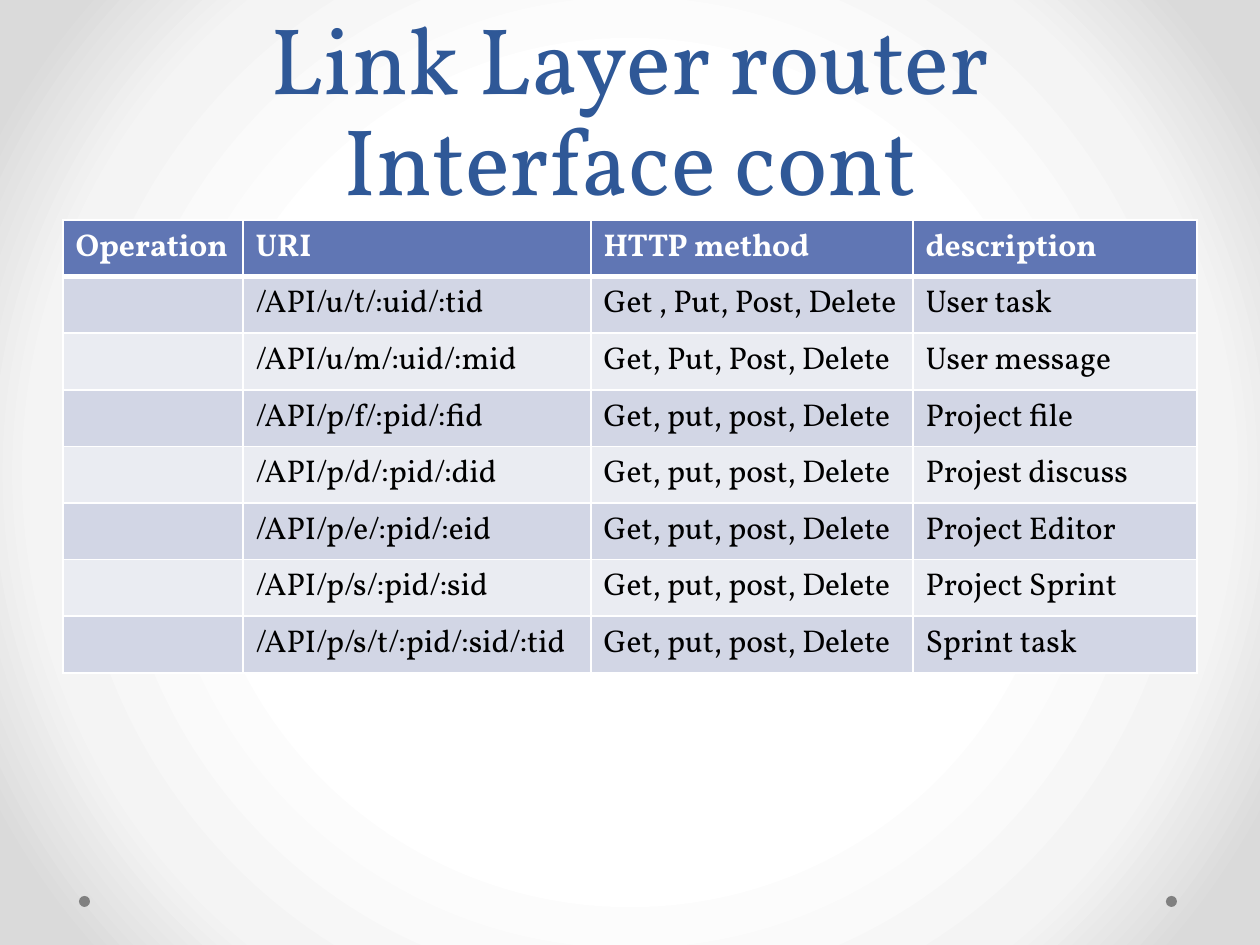
from dataclasses import dataclass

from pptx import Presentation
from pptx.dml.color import RGBColor
from pptx.enum.shapes import MSO_SHAPE
from pptx.enum.text import MSO_ANCHOR, PP_ALIGN
from pptx.oxml import parse_xml
from pptx.oxml.ns import nsdecls
from pptx.util import Pt

OVAL = MSO_SHAPE.OVAL
BOTTOM = MSO_ANCHOR.BOTTOM
CENTER = PP_ALIGN.CENTER
PIXEL = 914400 // 126


@dataclass(frozen=True)
class Theme:
    """Colours, font and type sizes of the slide."""
    font: str = "Vollkorn"
    title_size: int = 54
    title_leading: int = 58
    table_size: int = 18
    title: str = "2F5897"
    header: str = "6076B4"
    header_text: str = "FFFFFF"
    bands: tuple = ("D2D6E5", "EAECF2")
    body_text: str = "000000"
    border: str = "FFFFFF"
    dot: str = "808080"
    background: tuple = ((50, "FFFFFF"), (76, "F4F4F4"), (92, "DADADA"))


THEME = Theme()
COLUMN_WIDTHS = (180, 348, 322, 284)
ROWS = (
    ("Operation", "URI", "HTTP method", "description"),
    ("", "/API/u/t/:uid/:tid", "Get , Put, Post, Delete", "User task"),
    ("", "/API/u/m/:uid/:mid", "Get, Put, Post, Delete", "User message"),
    ("", "/API/p/f/:pid/:fid", "Get, put, post, Delete", "Project file"),
    ("", "/API/p/d/:pid/:did", "Get, put, post, Delete", "Projest discuss"),
    ("", "/API/p/e/:pid/:eid", "Get, put, post, Delete", "Project Editor"),
    ("", "/API/p/s/:pid/:sid", "Get, put, post, Delete", "Project Sprint"),
    ("", "/API/p/s/t/:pid/:sid/:tid", "Get, put, post, Delete", "Sprint task"),
)


def to_emu(*pixels):
    """Turn pixel lengths into EMU."""
    return [pixel * PIXEL for pixel in pixels]


def style_font(font, size, color, bold=False):
    """Set the theme font with a size, colour and weight."""
    font.name = THEME.font
    font.size = Pt(size)
    font.bold = bold
    font.color.rgb = RGBColor.from_string(color)


def paint_background(slide):
    """Fill the slide background with a circular gradient."""
    stops = "".join(
        f'<a:gs pos="{position * 1000}"><a:srgbClr val="{color}"/></a:gs>'
        for position, color in THEME.background)
    background = parse_xml(
        f'<p:bg {nsdecls("p", "a")}><p:bgPr><a:gradFill rotWithShape="1">'
        f'<a:gsLst>{stops}</a:gsLst><a:path path="circle">'
        '<a:fillToRect l="50000" t="50000" r="50000" b="50000"/></a:path>'
        '</a:gradFill><a:effectLst/></p:bgPr></p:bg>')
    slide.element.cSld.insert(0, background)


def add_dots(slide, left, top, width, size):
    """Place one dot at each end of a footer strip."""
    for dot_left in (left + width - size, left):
        dot = slide.shapes.add_shape(OVAL, *to_emu(dot_left, top, size, size))
        dot.shadow.inherit = False
        dot.fill.solid()
        dot.fill.fore_color.rgb = RGBColor.from_string(THEME.dot)
        dot.line.fill.background()


def add_title(slide, text, left, top, width, height):
    """Place the centred title at the bottom of its box."""
    shape = slide.shapes.add_textbox(*to_emu(left, top, width, height))
    frame = shape.text_frame
    frame.word_wrap = True
    frame.vertical_anchor = BOTTOM
    frame.margin_left = frame.margin_right = 24 * PIXEL
    paragraph = frame.paragraphs[0]
    paragraph.text = text
    paragraph.alignment = CENTER
    paragraph.line_spacing = Pt(THEME.title_leading)
    style_font(paragraph.font, THEME.title_size, THEME.title)


def add_borders(cell, bottom_width):
    """Draw the cell's four borders, ahead of its fill."""
    properties = cell._tc.get_or_add_tcPr()
    sides = (("L", 1), ("R", 1), ("T", 1), ("B", bottom_width))
    for index, (side, width) in enumerate(sides):
        properties.insert(index, parse_xml(
            f'<a:ln{side} {nsdecls("a")} w="{Pt(width)}"><a:solidFill>'
            f'<a:srgbClr val="{THEME.border}"/></a:solidFill></a:ln{side}>'))


def fill_cell(cell, text, row_index):
    """Write and style one cell according to its row."""
    is_header = row_index == 0
    fill = THEME.header if is_header else THEME.bands[(row_index - 1) % 2]
    color = THEME.header_text if is_header else THEME.body_text
    cell.fill.solid()
    cell.fill.fore_color.rgb = RGBColor.from_string(fill)
    add_borders(cell, 3 if is_header else 1)
    paragraph = cell.text_frame.paragraphs[0]
    paragraph.text = text
    style_font(paragraph.font, THEME.table_size, color, is_header)


def add_interface_table(slide, left, top, width, height):
    """Place the table of router operations in rows of equal height."""
    shape = slide.shapes.add_table(
        len(ROWS), len(COLUMN_WIDTHS), *to_emu(left, top, width, height))
    table = shape.table
    for column, column_width in zip(table.columns, COLUMN_WIDTHS):
        column.width = column_width * PIXEL
    for row_index, texts in enumerate(ROWS):
        table.rows[row_index].height = height * PIXEL // len(ROWS)
        for column_index, text in enumerate(texts):
            fill_cell(table.cell(row_index, column_index), text, row_index)


def main():
    """Build and save the slide."""
    presentation = Presentation()
    presentation.slide_width, presentation.slide_height = to_emu(1260, 945)
    slide = presentation.slides.add_slide(presentation.slide_layouts[6])
    paint_background(slide)
    add_dots(slide, 79, 896, 1098, 11)
    add_title(slide, "Link Layer router Interface cont", 63, 0, 1134, 221)
    add_interface_table(slide, 63, 220, 1134, 453)
    presentation.save("out.pptx")


main()
